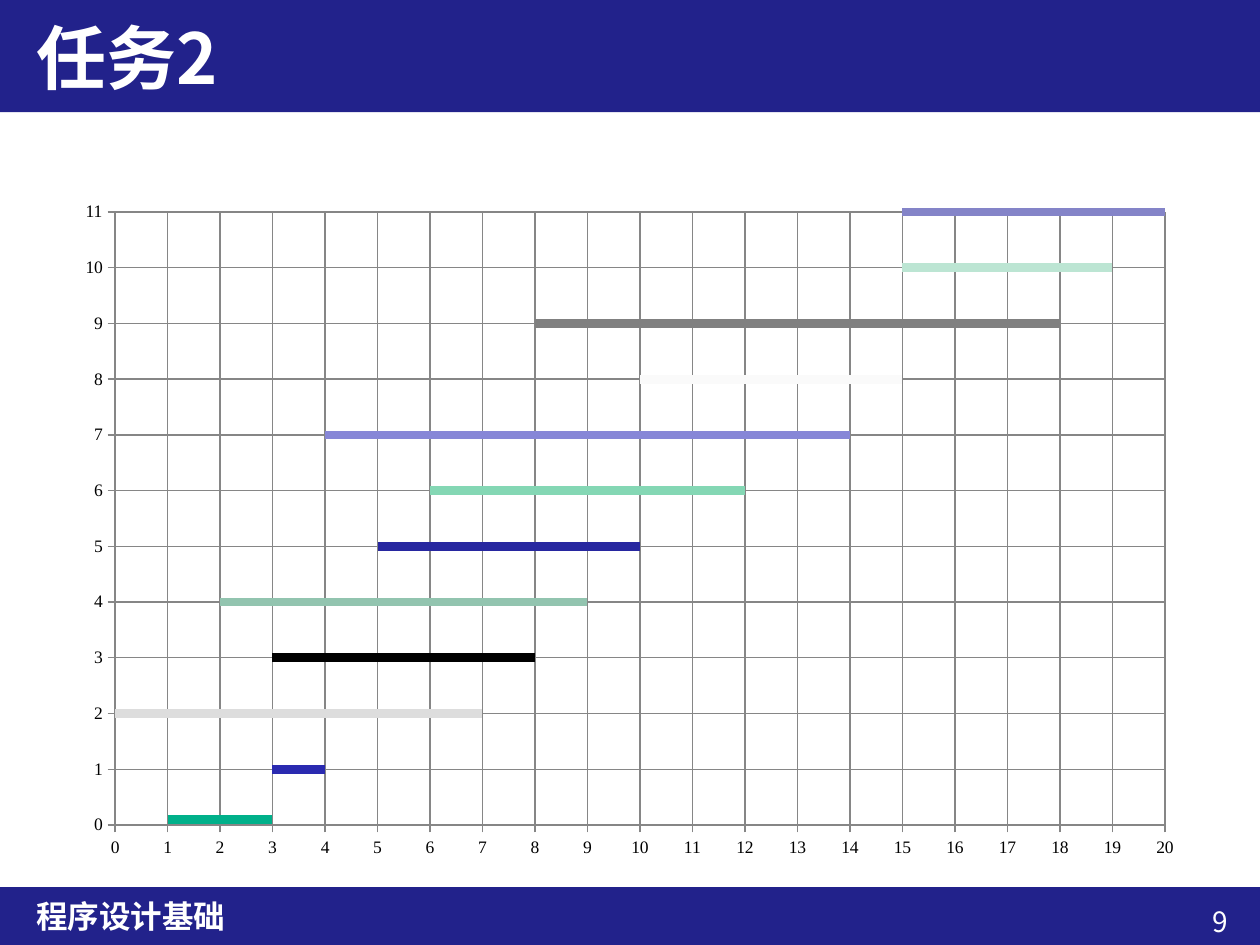
from lxml.etree import SubElement
from pptx import Presentation
from pptx.chart.data import CategoryChartData
from pptx.dml.color import RGBColor
from pptx.enum.chart import XL_CHART_TYPE, XL_MARKER_STYLE, XL_TICK_MARK
from pptx.enum.shapes import MSO_SHAPE
from pptx.enum.text import MSO_ANCHOR, PP_ALIGN
from pptx.oxml import parse_xml
from pptx.oxml.ns import nsdecls, qn
from pptx.util import Inches, Pt

COLORS = {"navy": "22228B", "white": "FFFFFF", "black": "000000", "grid": "868686"}
FONT = "Noto Sans CJK SC"
LAST_TIME = 20

# Each task: start, end, height on the value axis, line colour
TASKS = [
    (1, 3, 0.1, "00B08A"),
    (3, 4, 1, "2A2AB0"),
    (0, 7, 2, "DDDDDD"),
    (3, 8, 3, "000000"),
    (2, 9, 4, "92C4AF"),
    (5, 10, 5, "2727A0"),
    (6, 12, 6, "84D7B4"),
    (4, 14, 7, "8787D7"),
    (10, 15, 8, "FAFAFA"),
    (8, 18, 9, "808080"),
    (15, 19, 10, "BCE5D3"),
    (15, 20, 11, "8484C8"),
]


def rgb(value):
    return RGBColor.from_string(value)


def add_band(slide, top, height):
    band = slide.shapes.add_shape(
        MSO_SHAPE.RECTANGLE, Inches(-0.01), Inches(top), Inches(10.01), Inches(height))
    band.shadow.inherit = False
    band.fill.solid()
    band.fill.fore_color.rgb = rgb(COLORS["navy"])
    band.line.fill.background()


def write_text(shape, text, size, bold=False, align=PP_ALIGN.LEFT, anchor=MSO_ANCHOR.MIDDLE):
    frame = shape.text_frame
    frame.word_wrap = True
    frame.vertical_anchor = anchor
    frame.text = text
    paragraph = frame.paragraphs[0]
    paragraph.alignment = align
    font = paragraph.runs[0].font
    font.size, font.bold, font.name = Pt(size), bold, FONT
    font.color.rgb = rgb(COLORS["white"])
    # East Asian typeface
    SubElement(paragraph.runs[0]._r.get_or_add_rPr(), qn("a:ea")).set("typeface", FONT)


def add_title(slide, text):
    title = slide.shapes.title
    title.left, title.top = Inches(0.19), Inches(0)
    title.width, title.height = Inches(9.6), Inches(0.89)
    write_text(title, text, 40, bold=True)
    # Bring the title in front of its band
    slide.shapes._spTree.append(title._element)


def add_label(slide, box, text, size, **style):
    label = slide.shapes.add_textbox(*(Inches(length) for length in box))
    write_text(label, text, size, **style)


def style_axis(axis):
    axis.major_tick_mark = XL_TICK_MARK.OUTSIDE
    axis.minor_tick_mark = XL_TICK_MARK.NONE
    axis.has_major_gridlines = True
    for line in (axis.format.line, axis.major_gridlines.format.line):
        line.color.rgb = rgb(COLORS["grid"])
        line.width = Pt(0.75)


def add_task_chart(slide):
    data = CategoryChartData()
    data.categories = [str(time) for time in range(LAST_TIME + 1)]
    for number, (start, end, level, _) in enumerate(TASKS, 1):
        data.add_series(
            f"Series {number}",
            [level if start <= time <= end else None for time in range(LAST_TIME + 1)])
    chart = slide.shapes.add_chart(
        XL_CHART_TYPE.LINE, Inches(0.5), Inches(1.5), Inches(9), Inches(5.42), data).chart
    chart.has_legend = False
    chart.has_title = False
    chart.font.name, chart.font.size = "Times New Roman", Pt(10)
    chart.font.color.rgb = rgb(COLORS["black"])

    for series, (_, _, _, color) in zip(chart.plots[0].series, TASKS):
        series.smooth = False
        series.marker.style = XL_MARKER_STYLE.NONE
        series.format.line.width = Pt(5)
        series.format.line.color.rgb = rgb(color)

    style_axis(chart.category_axis)
    levels = chart.value_axis
    style_axis(levels)
    levels.minimum_scale, levels.maximum_scale, levels.major_unit = 0, 11, 1
    levels.tick_labels.number_format = "0"
    levels.tick_labels.number_format_is_linked = False

    # Points sit on the tick marks
    levels._element.find(qn("c:crosses")).addnext(
        parse_xml(f'<c:crossBetween {nsdecls("c")} val="midCat"/>'))
    # Fixed inner plot area
    plot_area = chart._chartSpace.chart.plotArea
    for layout in plot_area.findall(qn("c:layout")):
        plot_area.remove(layout)
    sizes = "".join(f'<c:{key} val="{value}"/>' for key, value in (
        ("x", 0.413 / 9), ("y", 0.183 / 5.42), ("w", 8.333 / 9), ("h", 4.865 / 5.42)))
    plot_area.insert(0, parse_xml(
        f'<c:layout {nsdecls("c")}><c:manualLayout><c:layoutTarget val="inner"/>'
        f'<c:xMode val="edge"/><c:yMode val="edge"/>{sizes}</c:manualLayout></c:layout>'))


def main():
    deck = Presentation()
    deck.slide_width, deck.slide_height = Inches(10), Inches(7.5)
    slide = deck.slides.add_slide(deck.slide_layouts[5])

    # Footer
    add_band(slide, 7.04, 0.46)
    add_label(slide, (8.59, 7.13, 1.25, 0.37), "9", 16,
              align=PP_ALIGN.RIGHT, anchor=MSO_ANCHOR.TOP)
    add_label(slide, (0.19, 7.04, 9.6, 0.46), "程序设计基础", 18, bold=True)

    # Header
    add_band(slide, 0, 0.89)
    add_title(slide, "任务2")

    # Task intervals
    add_task_chart(slide)
    deck.save("out.pptx")


main()
